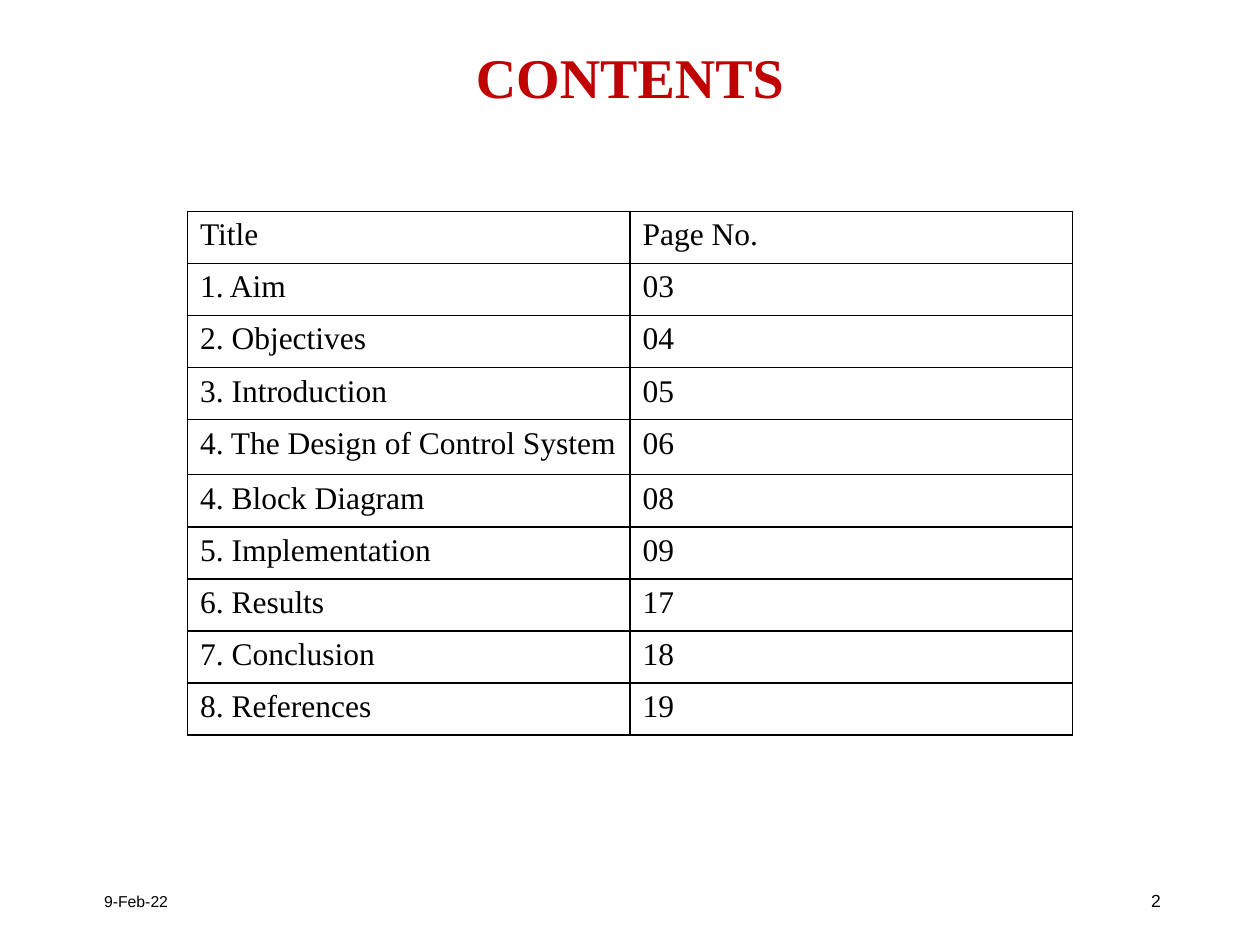
from dataclasses import dataclass

from lxml.etree import SubElement
from pptx import Presentation
from pptx.dml.color import RGBColor
from pptx.enum.text import MSO_ANCHOR, PP_ALIGN
from pptx.oxml import parse_xml
from pptx.oxml.ns import nsdecls
from pptx.util import Cm, Pt


@dataclass(frozen=True)
class Theme:
    heading_color: RGBColor = RGBColor(0xC0, 0x00, 0x00)
    text_color: RGBColor = RGBColor(0x00, 0x00, 0x00)
    background: RGBColor = RGBColor(0xFF, 0xFF, 0xFF)
    border_color: str = "000000"
    serif: str = "Times New Roman"
    sans: str = "Arial"
    heading_size: Pt = Pt(32)
    table_size: Pt = Pt(18)
    date_size: Pt = Pt(9)
    number_size: Pt = Pt(10)
    border_width: Pt = Pt(1)


theme = Theme()


def write_text(text_frame, text, *, font, size, color=theme.text_color, bold=False,
               align=PP_ALIGN.LEFT, line_spacing=None):
    paragraph = text_frame.paragraphs[0]
    paragraph.alignment = align
    paragraph.line_spacing = line_spacing
    run = paragraph.add_run()
    run.text = text
    run.font.name = font
    run.font.size = size
    run.font.bold = bold
    run.font.color.rgb = color


def add_borders(cell):
    properties = cell._tc.get_or_add_tcPr()
    for side in ("lnL", "lnR", "lnT", "lnB"):
        line = parse_xml(f'<a:{side} {nsdecls("a")} w="{theme.border_width}"/>')
        fill = SubElement(line, "{%s}solidFill" % line.nsmap["a"])
        SubElement(fill, "{%s}srgbClr" % line.nsmap["a"], val=theme.border_color)
        properties.append(line)


presentation = Presentation()
presentation.slide_width = Cm(25.4)
presentation.slide_height = Cm(19.05)
slide = presentation.slides.add_slide(presentation.slide_layouts[5])
slide.background.fill.solid()
slide.background.fill.fore_color.rgb = theme.background

# Title
title = slide.shapes.title
title.left, title.top, title.width, title.height = Cm(1.27), Cm(0.84), Cm(22.86), Cm(1.57)
title.fill.solid()
title.fill.fore_color.rgb = theme.background
title.text_frame.vertical_anchor = MSO_ANCHOR.MIDDLE
write_text(title.text_frame, "CONTENTS", font=theme.serif, size=theme.heading_size,
           color=theme.heading_color, bold=True, align=PP_ALIGN.CENTER, line_spacing=0.9)

# Date and slide number
footers = [
    ("9-Feb-22", Cm(1.85), theme.date_size, PP_ALIGN.LEFT),
    ("2", Cm(17.93), theme.number_size, PP_ALIGN.RIGHT),
]
for text, left, size, align in footers:
    footer = slide.shapes.add_textbox(left, Cm(17.65), Cm(5.72), Cm(1.02))
    footer.text_frame.word_wrap = True
    footer.text_frame.vertical_anchor = MSO_ANCHOR.MIDDLE
    write_text(footer.text_frame, text, font=theme.sans, size=size, align=align)

# Table of contents
contents = [
    ("Title", "Page No."),
    ("1. Aim", "03"),
    ("2. Objectives", "04"),
    ("3. Introduction", "05"),
    ("4. The Design of Control System", "06"),
    ("4. Block Diagram", "08"),
    ("5. Implementation", "09"),
    ("6. Results", "17"),
    ("7. Conclusion", "18"),
    ("8. References", "19"),
]
row_height = Cm(1.05)
tall_row, tall_row_height = 4, Cm(1.11)
table = slide.shapes.add_table(len(contents), 2, Cm(3.78), Cm(4.26), Cm(17.84),
                               row_height * len(contents)).table
table.first_row = False
table.horz_banding = False
for row_index, entry in enumerate(contents):
    table.rows[row_index].height = tall_row_height if row_index == tall_row else row_height
    for column_index, text in enumerate(entry):
        cell = table.cell(row_index, column_index)
        add_borders(cell)
        cell.fill.background()
        write_text(cell.text_frame, text, font=theme.serif, size=theme.table_size,
                   align=PP_ALIGN.JUSTIFY)

presentation.save("out.pptx")
